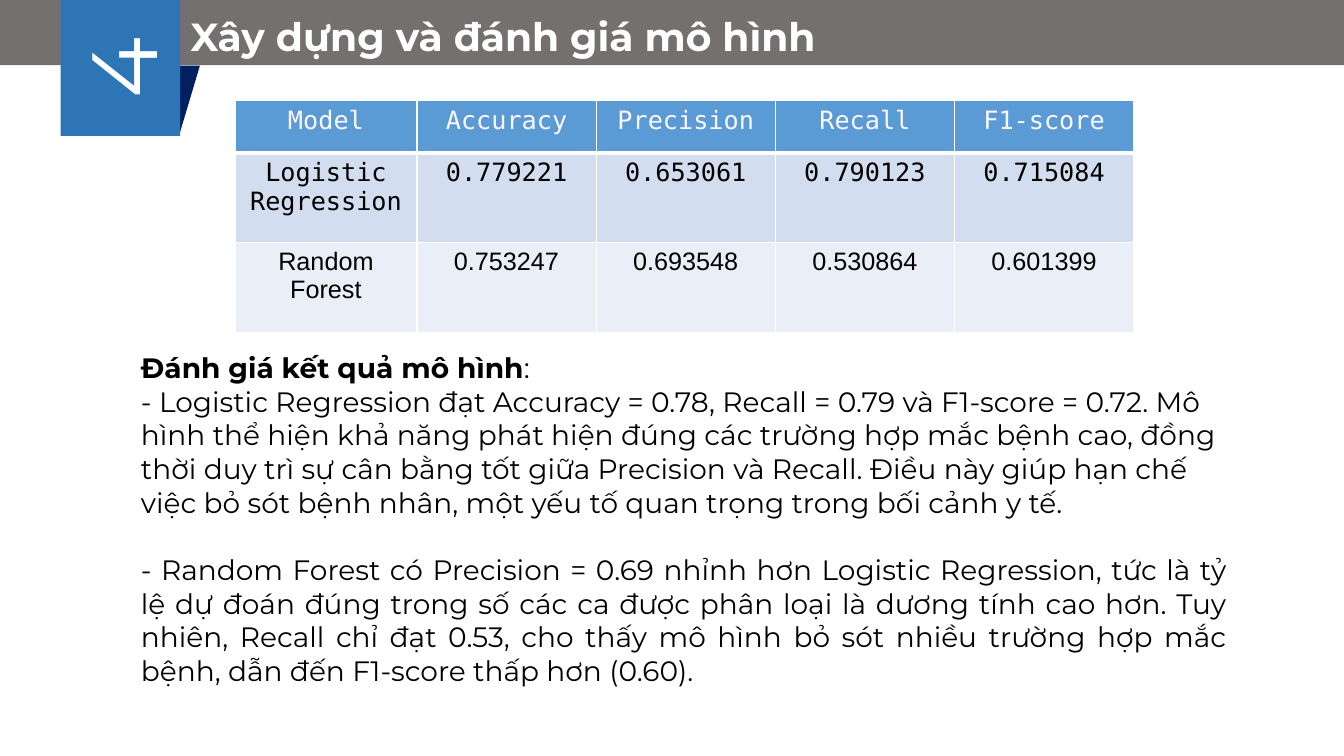
from lxml import etree
from pptx import Presentation
from pptx.dml.color import RGBColor
from pptx.enum import shapes, text
from pptx.oxml.ns import qn
from pptx.util import Pt

WHITE = RGBColor(0xFF, 0xFF, 0xFF)
BLACK = RGBColor(0, 0, 0)
GREY = RGBColor(0x75, 0x70, 0x70)
NAVY = RGBColor(0x00, 0x20, 0x60)
BLUE = RGBColor(0x2E, 0x75, 0xB5)
HEADER_BLUE = RGBColor(0x5B, 0x9B, 0xD5)
HEADER_TEXT = RGBColor(0xFC, 0xF6, 0xFF)
BAND_DARK = RGBColor(0xD2, 0xDE, 0xEF)
BAND_LIGHT = RGBColor(0xEA, 0xEF, 0xF7)


def add_filled_shape(parent, kind, left, top, width, height, color):
    shape = parent.shapes.add_shape(kind, Pt(left), Pt(top), Pt(width), Pt(height))
    shape.shadow.inherit = False
    shape.fill.solid()
    shape.fill.fore_color.rgb = color
    shape.line.fill.background()
    return shape


def style_font(paragraph, name, size, color, bold=False):
    font = paragraph.font
    font.name, font.size, font.bold = name, Pt(size), bold
    font.color.rgb = color


presentation = Presentation()
presentation.slide_width, presentation.slide_height = Pt(960), Pt(540)
slide = presentation.slides.add_slide(presentation.slide_layouts[5])

# Banner and section number
add_filled_shape(slide, shapes.MSO_SHAPE.RECTANGLE, 0, -0.5, 960, 47, GREY)
badge = slide.shapes.add_group_shape()
fold = add_filled_shape(badge, shapes.MSO_SHAPE.FLOWCHART_DATA, 67.9, 46.8, 74.9, 50.2, NAVY)
fold.rotation = 180
number = add_filled_shape(badge, shapes.MSO_SHAPE.RECTANGLE, 37.4, 5.7, 97.2, 85.5, BLUE)
number.rotation = 270
number.text_frame.text = "4"
number.text_frame.vertical_anchor = text.MSO_ANCHOR.MIDDLE
number.text_frame.paragraphs[0].alignment = text.PP_ALIGN.CENTER
style_font(number.text_frame.paragraphs[0], "Montserrat", 66, WHITE)

# Title, brought in front of the banner
title = slide.shapes.title
badge.element.addnext(title.element)
title.left, title.top, title.width, title.height = Pt(128.9), Pt(5), Pt(470), Pt(41)
title.text_frame.text = "Xây dựng và đánh giá mô hình"
title.text_frame.auto_size = text.MSO_AUTO_SIZE.NONE
title.text_frame.vertical_anchor = text.MSO_ANCHOR.TOP
title.text_frame.paragraphs[0].alignment = text.PP_ALIGN.LEFT
style_font(title.text_frame.paragraphs[0], "Montserrat", 28, WHITE, bold=True)

# Table of scores
scores = [
    ["Model", "Accuracy", "Precision", "Recall", "F1-score"],
    ["Logistic Regression", "0.779221", "0.653061", "0.790123", "0.715084"],
    ["Random Forest", "0.753247", "0.693548", "0.530864", "0.601399"],
]
row_styles = [
    (37.5, HEADER_BLUE, "DejaVu Sans Mono", HEADER_TEXT),
    (64, BAND_DARK, "DejaVu Sans Mono", BLACK),
    (64, BAND_LIGHT, "Arial", BLACK),
]
table = slide.shapes.add_table(3, 5, Pt(167.8), Pt(72), Pt(642), Pt(165.5)).table
for index, column in enumerate(table.columns):
    column.width = Pt(130 if index == 0 else 128)
for row_index, (height, fill, font_name, color) in enumerate(row_styles):
    table.rows[row_index].height = Pt(height)
    for column_index, value in enumerate(scores[row_index]):
        cell = table.cell(row_index, column_index)
        cell.text = value
        cell.fill.solid()
        cell.fill.fore_color.rgb = fill
        paragraph = cell.text_frame.paragraphs[0]
        paragraph.alignment = text.PP_ALIGN.CENTER
        style_font(paragraph, font_name, 18, color)
        properties = cell._tc.get_or_add_tcPr()
        for position, side in enumerate(["lnL", "lnR", "lnT", "lnB"]):
            under_header = (row_index, side) in [(0, "lnB"), (1, "lnT")]
            border = etree.Element(qn(f"a:{side}"), w=str(Pt(3 if under_header else 1)))
            line_fill = etree.SubElement(border, qn("a:solidFill"))
            etree.SubElement(line_fill, qn("a:srgbClr"), val=str(WHITE))
            properties.insert(position, border)

# Evaluation
evaluation = slide.shapes.add_textbox(Pt(93.6), Pt(247), Pt(790), Pt(273.6)).text_frame
evaluation.word_wrap = True
heading = evaluation.paragraphs[0]
heading.add_run().text = "Đánh giá kết quả mô hình"
heading.runs[0].font.bold = True
heading.add_run().text = ":"
logistic = evaluation.add_paragraph()
logistic.text = (
    "- Logistic Regression đạt Accuracy = 0.78, Recall = 0.79 và F1-score = 0.72. "
    "Mô hình thể hiện khả năng phát hiện đúng các trường hợp mắc bệnh cao, đồng thời "
    "duy trì sự cân bằng tốt giữa Precision và Recall. Điều này giúp hạn chế việc bỏ "
    "sót bệnh nhân, một yếu tố quan trọng trong bối cảnh y tế."
)
forest = evaluation.add_paragraph()
forest.text = (
    "- Random Forest có Precision = 0.69 nhỉnh hơn Logistic Regression, tức là tỷ lệ "
    "dự đoán đúng trong số các ca được phân loại là dương tính cao hơn. Tuy nhiên, "
    "Recall chỉ đạt 0.53, cho thấy mô hình bỏ sót nhiều trường hợp mắc bệnh, dẫn đến "
    "F1-score thấp hơn (0.60)."
)
forest.alignment = text.PP_ALIGN.JUSTIFY
forest.space_before = Pt(24)
for paragraph in evaluation.paragraphs:
    style_font(paragraph, "Montserrat", 20, BLACK)

presentation.save("out.pptx")
